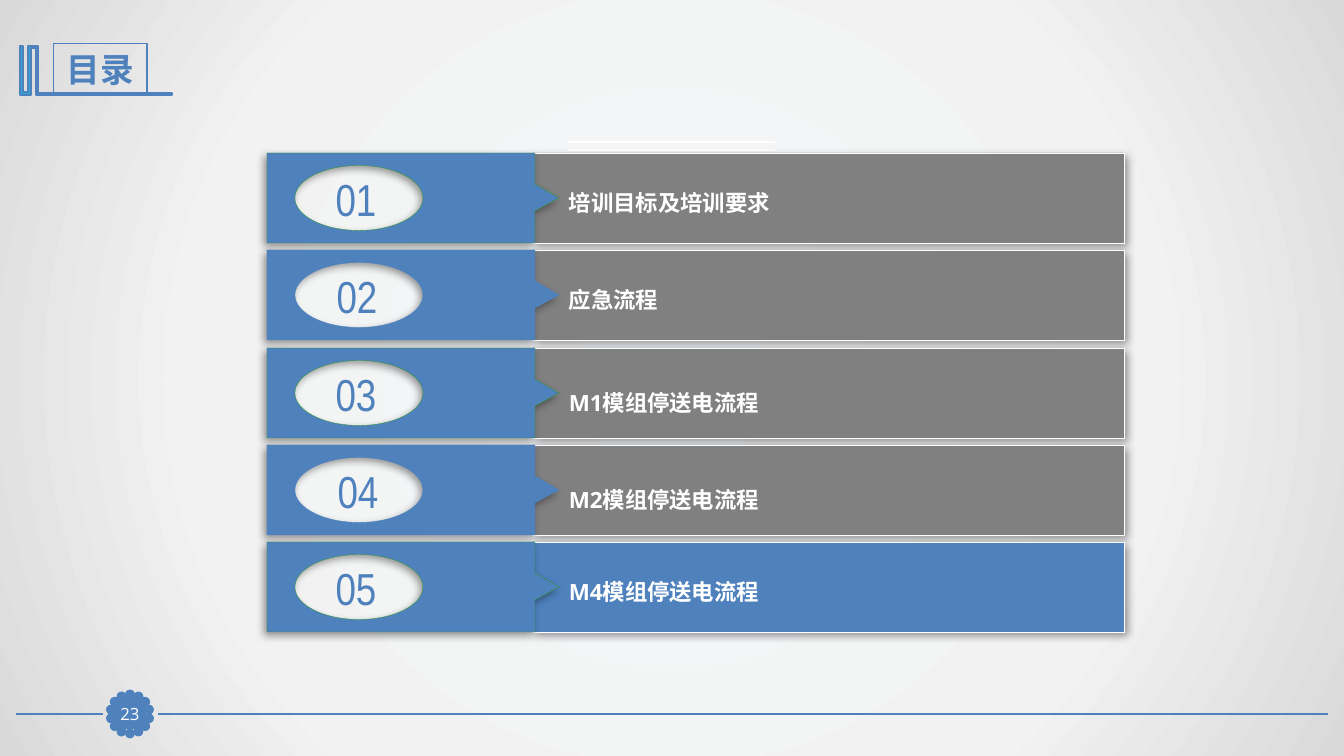
import math
from dataclasses import dataclass

import pptx
import pptx.dml.color
import pptx.enum.shapes
import pptx.enum.text
import pptx.oxml
import pptx.oxml.ns
import pptx.util

SCALE = 914400 / 100.8
FINE = 10
KIND = pptx.enum.shapes.MSO_SHAPE
ALIGN = pptx.enum.text.PP_ALIGN
ANCHOR = pptx.enum.text.MSO_ANCHOR
NS = pptx.oxml.ns.nsdecls("a", "p")


@dataclass(frozen=True)
class Theme:
    """Colours, fonts and type sizes of the slide."""
    blue: str = "4F81BD"
    cyan: str = "28A9D6"
    grey: str = "808080"
    green: str = "339933"
    white: str = "FFFFFF"
    back: tuple = ((0, "F6F9FC"), (63, "F2F2F2"), (100, "D9D9D9"))
    head: str = "Arial Narrow"
    body: str = "Open Sans"
    title: int = 24
    digit: int = 32
    label: int = 16
    page: int = 12


THEME = Theme()
# label, tag outline, bar fill, centre of the number, label height, line spacing
ROWS = (
    ("培训目标及培训要求", THEME.green, THEME.grey, 356, 37, 1),
    ("应急流程", THEME.blue, THEME.grey, 357, 37, 1),
    ("M1模组停送电流程", THEME.green, THEME.grey, 356, 42, 1.2),
    ("M2模组停送电流程", THEME.blue, THEME.grey, 358, 42, 1.2),
    ("M4模组停送电流程", THEME.green, THEME.blue, 356, 65, 1),
)
RIBBON = ((37, 46), (38, 46), (38, 93), (172, 93), (172, 95), (36, 95), (36, 48),
          (31, 48), (31, 95), (20, 95), (20, 46), (23, 46), (23, 92), (28, 92), (28, 46))


def px(value):
    """Turn pixels into EMU."""
    return pptx.util.Emu(round(value * SCALE))


def rgb(code):
    """Turn a hex code into a colour."""
    return pptx.dml.color.RGBColor.from_string(code)


def paint(shape, fill, line, width):
    """Set fill and outline, without a shadow."""
    shape.shadow.inherit = False
    if fill:
        shape.fill.solid()
        shape.fill.fore_color.rgb = rgb(fill)
    else:
        shape.fill.background()
    shape.line.color.rgb = rgb(line)
    shape.line.width = pptx.util.Pt(width)
    return shape


def shade(shape, angle):
    """Cast a soft black shadow at an angle in degrees."""
    effects = shape.element.spPr.find(pptx.oxml.ns.qn("a:effectLst"))
    effects.append(pptx.oxml.parse_xml(
        f'<a:outerShdw {NS} blurRad="76200" dist="38100" dir="{angle * 60000}" '
        'algn="tl" rotWithShape="0"><a:srgbClr val="000000">'
        '<a:alpha val="40000"/></a:srgbClr></a:outerShdw>'))


def write(shape, text, size, font, color, bold=False, align=ALIGN.CENTER,
          anchor=ANCHOR.MIDDLE, space=None):
    """Put one formatted line of text in a shape."""
    frame = shape.text_frame
    frame.text = text
    frame.word_wrap = True
    frame.vertical_anchor = anchor
    para = frame.paragraphs[0]
    para.alignment = align
    para.line_spacing = space
    run = para.runs[0]
    run.font.size = pptx.util.Pt(size)
    run.font.name = font
    run.font.bold = bold
    run.font.color.rgb = rgb(color)


def block(home, kind, box, fill, line, width):
    """Add a preset shape in a pixel box."""
    shape = home.shapes.add_shape(kind, *map(px, box))
    return paint(shape, fill, line, width)


def note(home, box, *args, **style):
    """Add a text box in a pixel box."""
    write(home.shapes.add_textbox(*map(px, box)), *args, **style)


def rule(home, left, right, y, color, width):
    """Add a level line."""
    line = home.shapes.add_connector(
        pptx.enum.shapes.MSO_CONNECTOR.STRAIGHT, px(left), px(y), px(right), px(y))
    line.line.color.rgb = rgb(color)
    line.line.width = pptx.util.Pt(width)
    line.element.spPr.append(pptx.oxml.parse_xml(f"<a:effectLst {NS}/>"))


def outline(home, dots, fill, line, width):
    """Add a closed free shape."""
    first, *rest = [(x * FINE, y * FINE) for x, y in dots]
    pen = home.shapes.build_freeform(*first, scale=SCALE / FINE)
    pen.add_line_segments(rest, close=True)
    return paint(pen.convert_to_shape(), fill, line, width)


def pierce(shape, x, y, wide, high):
    """Cut an oval hole, centred at x, y from the shape's corner."""
    bend = 4 / 3 * (math.sqrt(2) - 1)

    def spot(across, down):
        """Name one point of the hole in path units."""
        return (f'<a:pt x="{round((x + across * wide) * FINE)}" '
                f'y="{round((y + down * high) * FINE)}"/>')

    parts = [f"<a:moveTo {NS}>{spot(0, -1)}</a:moveTo>"]
    for a, b in ((0, -1), (-1, 0), (0, 1), (1, 0)):
        c, d = b, -a
        parts.append(f"<a:cubicBezTo {NS}>{spot(a + bend * c, b + bend * d)}"
                     f"{spot(c + bend * a, d + bend * b)}{spot(c, d)}</a:cubicBezTo>")
    parts.append(f"<a:close {NS}/>")
    trace = next(shape.element.iter(pptx.oxml.ns.qn("a:path")))
    for place, part in enumerate(parts):
        trace.insert(place, pptx.oxml.parse_xml(part))


def backdrop(slide):
    """Fill the background with a round gradient."""
    stops = "".join(f'<a:gs pos="{pos * 1000}"><a:srgbClr val="{code}"/></a:gs>'
                    for pos, code in THEME.back)
    slide.element.cSld.insert(0, pptx.oxml.parse_xml(
        f'<p:bg {NS}><p:bgPr><a:gradFill rotWithShape="1"><a:gsLst>{stops}</a:gsLst>'
        '<a:path path="circle"><a:fillToRect l="50000" t="50000" r="50000" b="50000"/>'
        '</a:path></a:gradFill><a:effectLst/></p:bgPr></p:bg>'))


def header(slide):
    """Draw the ribbon and the boxed title."""
    outline(slide, RIBBON, THEME.cyan, THEME.blue, 2)
    box = block(slide, KIND.RECTANGLE, (53, 44, 94, 50), None, THEME.blue, 0.75)
    write(box, "目录", THEME.title, THEME.head, THEME.blue, bold=True)


def footer(slide):
    """Draw the foot line and the scalloped edge of the page seal."""
    rule(slide, 1328, 158, 714, THEME.blue, 1.25)
    rule(slide, 103, 16, 714, THEME.blue, 1.25)
    seal = slide.shapes.add_group_shape()
    for i in range(14):
        turn = 2 * math.pi * i / 14
        x, y = 130 + 19.5 * math.sin(turn), 714 - 19.5 * math.cos(turn)
        block(seal, KIND.OVAL, (x - 3.5, y - 3.5, 7, 7), THEME.blue, THEME.blue, 2)


def number(slide):
    """Draw the page number in the seal."""
    core = block(slide, KIND.RECTANGLE, (114, 698, 32, 31), THEME.blue, THEME.blue, 0.75)
    frame = core.text_frame
    frame.margin_left = frame.margin_right = frame.margin_top = frame.margin_bottom = 0
    write(core, "23", THEME.page, THEME.body, THEME.white)


def entry(slide, index, label, edge, fill, mid, high, space):
    """Draw one row: bar, pierced tag, number and label."""
    top = round(153 + 97.3 * index)
    row = slide.shapes.add_group_shape()
    bar = block(row, KIND.RECTANGLE, (532, top, 592, 90), fill, THEME.white, 0.25)
    shade(bar, 45)
    dots = ((267, 0), (535, 0), (535, 31), (559, 45), (535, 58), (535, 90), (267, 90))
    tag = outline(row, [(x, top + y) for x, y in dots], THEME.blue, edge, 0.25)
    pierce(tag, 92, 45, 64, 32.5)
    shade(tag, 135)
    note(row, (mid - 51, top + 13, 102, 65), f"{index + 1:02}",
         THEME.digit, THEME.head, THEME.blue)
    note(row, (559, top + 31, 565, high), label, THEME.label, THEME.body, THEME.white,
         bold=True, align=ALIGN.LEFT, anchor=ANCHOR.TOP, space=space)


def main():
    """Build and save the contents slide."""
    deck = pptx.Presentation()
    deck.slide_width, deck.slide_height = px(1344), px(756)
    slide = deck.slides.add_slide(deck.slide_layouts[6])
    backdrop(slide)
    footer(slide)
    header(slide)
    number(slide)
    for y in (142, 150):
        rule(slide, 568, 775, y, THEME.white, 1.5)
    for index, row in enumerate(ROWS):
        entry(slide, index, *row)
    deck.save("out.pptx")


main()
